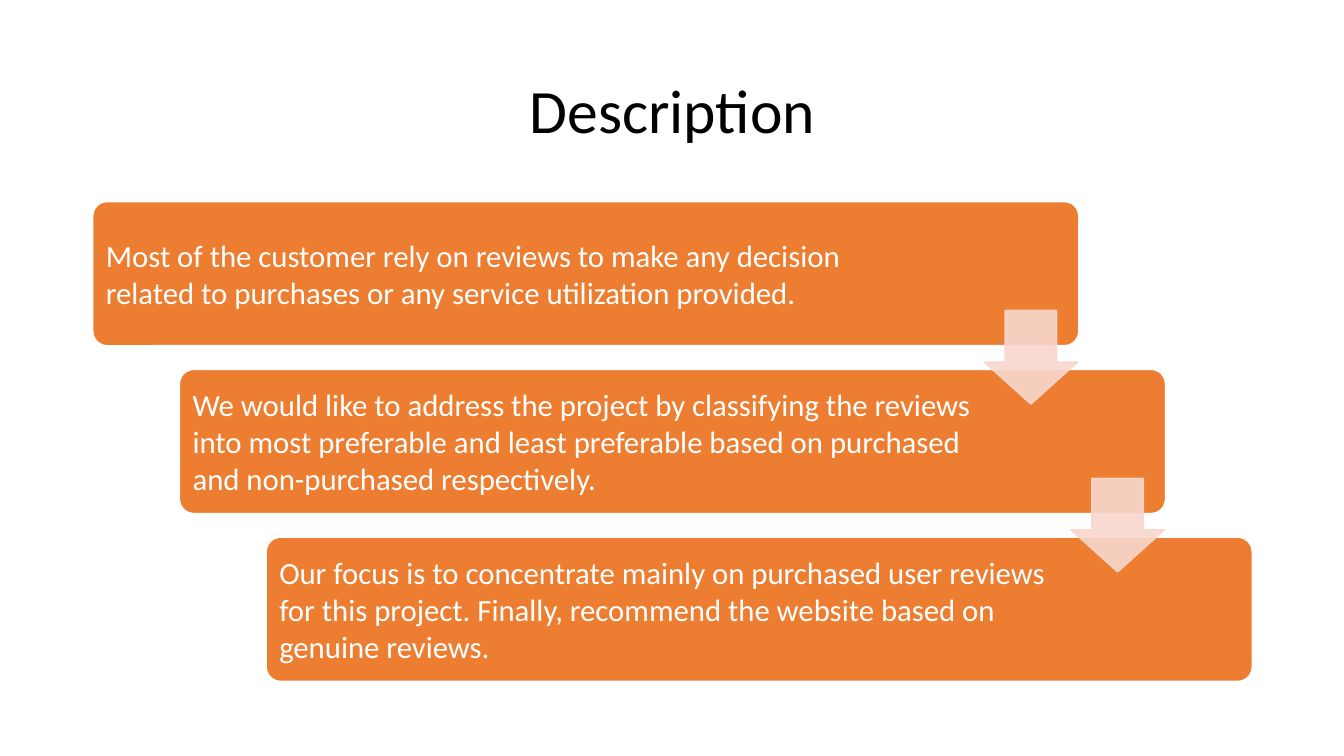
"""Build the Description slide: three stepped statements joined by arrows."""
from lxml.etree import SubElement
from pptx import Presentation
from pptx.dml.color import RGBColor
from pptx.enum.shapes import MSO_SHAPE
from pptx.enum.text import MSO_ANCHOR, PP_ALIGN
from pptx.oxml.ns import qn
from pptx.util import Inches, Pt

COLORS = {"step": "ED7D31", "arrow": "F8D7CE", "light": "FFFFFF", "title": "000000"}
LEFT, TOP = 0.92, 2.0
STEP_X, STEP_Y = 0.86, 1.665
CARD_WIDTH, CARD_HEIGHT = 9.78, 1.43
TEXT_INSET = 0.04
ARROW_SIZE = 0.93
ARROW_X, ARROW_Y = 8.84, 1.08
STATEMENTS = [
    ("Most of the customer rely on reviews to make any decision related to "
     "purchases or any service utilization provided.", 8.23),
    ("We would like to address the project by classifying the reviews into most "
     "preferable and least preferable based on purchased and non-purchased "
     "respectively.", 7.9),
    ("Our focus is to concentrate mainly on purchased user reviews for this "
     "project. Finally, recommend the website based on genuine reviews.", 7.9),
]


def rgb(name):
    """Return the named colour."""
    return RGBColor.from_string(COLORS[name])


def set_all(target, values):
    """Set each attribute of the target from a dict."""
    for name, value in values.items():
        setattr(target, name, value)


def add_text(slide, box, text, size, color, inset=0.1, **paragraph_format):
    """Add a wrapped, vertically centred text box."""
    frame = slide.shapes.add_textbox(*map(Inches, box)).text_frame
    margins = ("margin_left", "margin_right", "margin_top", "margin_bottom")
    set_all(frame, {"word_wrap": True, "vertical_anchor": MSO_ANCHOR.MIDDLE,
                    **dict.fromkeys(margins, Inches(inset))})
    paragraph = frame.paragraphs[0]
    paragraph.text = text
    set_all(paragraph, paragraph_format)
    set_all(paragraph.font, {"name": "Calibri", "size": Pt(size)})
    paragraph.font.color.rgb = rgb(color)


def add_preset(slide, preset, box, adjustments, fill, line, opacity=100):
    """Add a filled preset shape with a thin outline."""
    shape = slide.shapes.add_shape(preset, *map(Inches, box))
    shape.shadow.inherit = False
    for index, value in enumerate(adjustments):
        shape.adjustments[index] = value
    shape.line.width = Pt(1)
    for paint, color in ((shape.fill, fill), (shape.line.fill, line)):
        paint.solid()
        paint.fore_color.rgb = rgb(color)
    if opacity < 100:
        for color in shape.element.spPr.iter(qn("a:srgbClr")):
            SubElement(color, qn("a:alpha"), val=str(opacity * 1000))


def add_step(slide, index, text, text_width):
    """Add one statement card, offset by its place in the sequence."""
    left, top = LEFT + index * STEP_X, TOP + index * STEP_Y
    add_preset(slide, MSO_SHAPE.ROUNDED_RECTANGLE,
               (left, top, CARD_WIDTH, CARD_HEIGHT), [0.1], "step", "light")
    add_text(slide, (left + TEXT_INSET, top + TEXT_INSET, text_width,
                     CARD_HEIGHT - 2 * TEXT_INSET), text, 22, "light", inset=0.09,
             alignment=PP_ALIGN.LEFT)


def add_arrow(slide, index):
    """Add the arrow that leads from one card to the next."""
    left, top = LEFT + ARROW_X + index * STEP_X, TOP + ARROW_Y + index * STEP_Y
    add_preset(slide, MSO_SHAPE.DOWN_ARROW, (left, top, ARROW_SIZE, ARROW_SIZE),
               [0.55, 0.45], "arrow", "arrow", opacity=90)


def main():
    """Build and save the slide."""
    presentation = Presentation()
    set_all(presentation, {"slide_width": Inches(13.33), "slide_height": Inches(7.5)})
    slide = presentation.slides.add_slide(presentation.slide_layouts[6])
    add_text(slide, (LEFT, 0.4, 11.5, 1.45), "Description", 44, "title",
             alignment=PP_ALIGN.CENTER, line_spacing=0.9)
    for index, (text, text_width) in enumerate(STATEMENTS):
        add_step(slide, index, text, text_width)
    for index in range(len(STATEMENTS) - 1):
        add_arrow(slide, index)
    presentation.save("out.pptx")


if __name__ == "__main__":
    main()
